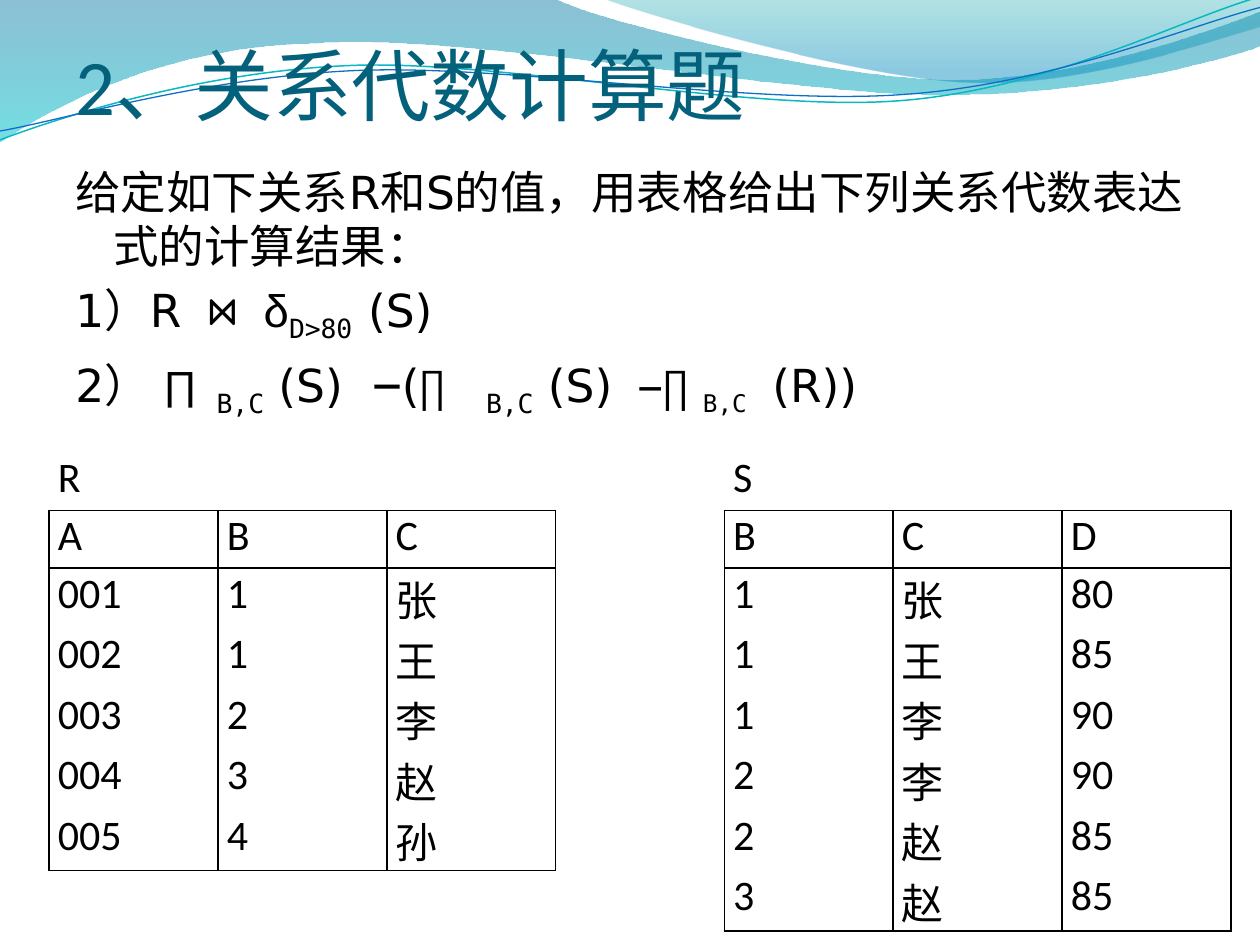
from math import cos, radians, sin

from lxml.etree import SubElement
from pptx import Presentation
from pptx.dml.color import RGBColor
from pptx.enum.text import MSO_ANCHOR, PP_ALIGN
from pptx.oxml.ns import qn
from pptx.util import Inches, Pt

COLORS = {
    "title": "04617B", "text": "000000",
    "deep": "0074A1", "aqua": "00C6CF", "teal": "00A1A9", "sky": "008BBF",
    "teal line": "0AB8BF", "blue line": "0F6FC6",
}
SANS, MONO = "DejaVu Sans", "DejaVu Sans Mono"
NO_STYLE = "{2D5ABB26-0587-4C30-8999-92F81FD0307C}"


def rgb(name):
    return RGBColor.from_string(COLORS[name])


def add_curve(shapes, start, segments, close):
    """Draw segments of three points (Bezier) or one point (straight), in inches."""
    builder = shapes.build_freeform(Inches(start[0]), Inches(start[1]))
    builder.add_line_segments(
        [(Inches(x), Inches(y)) for segment in segments for x, y in segment], close=close)
    curve = builder.convert_to_shape()
    curve.shadow.inherit = False
    lines = iter(curve._element.xpath(".//a:lnTo"))
    for segment in segments:
        first = next(lines)
        if len(segment) == 3:
            first.tag = qn("a:cubicBezTo")
            for _ in range(2):
                line = next(lines)
                first.append(line[0])
                line.getparent().remove(line)
    return curve


prs = Presentation()
prs.slide_width, prs.slide_height = Inches(10), Inches(7.5)
slide = prs.slides.add_slide(prs.slide_layouts[5])
shapes = slide.shapes

# Wave bands: start, segments, gradient stops (position, colour, opacity %)
bands = [
    ((0, 0), [[(4.4, -0.01)], [(4.76, 0.17), (6.64, 0.63), (7.58, 0.63)],
              [(8.53, 0.63), (9.58, 0.26), (10, 0.09)], [(10.01, 0.36)],
              [(9.83, 0.44), (8.7, 0.76), (7.46, 0.75)],
              [(6.22, 0.75), (3.82, 0.28), (2.57, 0.34)],
              [(1.29, 0.36), (0.46, 0.83), (-0.01, 1.13)]],
     [(0, "deep", 45), (1, "aqua", 55)]),
    ((4.79, -0.01), [[(5.09, 0.11), (6.82, 0.62), (7.69, 0.65)],
                     [(8.56, 0.69), (9.61, 0.32), (10, 0.21)], [(10, 0)]],
     [(0, "teal", 30), (0.8, "sky", 45)]),
]
for start, segments, stops in bands:
    band = add_curve(shapes, start, segments, True)
    band.line.fill.background()
    band.fill.gradient()
    band.fill.gradient_angle = 270
    for stop, (position, color, _) in zip(band.fill.gradient_stops, stops):
        stop.position = position
        stop.color.rgb = rgb(color)
    for color_node, (_, _, opacity) in zip(band._element.xpath(".//a:gs/a:srgbClr"), stops):
        SubElement(color_node, qn("a:alpha"), val=str(opacity * 1000))

# Thin wave lines, laid level around their centre and then tilted
TILT = 2.7
waves = [
    ((4.99, 0.58), [(0, 1.11), (0.48, 0.93), (1.58, 0.57), (2.77, 0.52),
                    (3.95, 0.47), (5.93, 0.89), (7.13, 0.8),
                    (8.33, 0.71), (9.38, 0.15), (9.98, -0.02)], "teal line", 0.85),
    ((5, 0.59), [(0, 1.04), (0.47, 0.96), (1.64, 0.61), (2.83, 0.56),
                 (4.03, 0.51), (5.97, 0.84), (7.17, 0.75),
                 (8.36, 0.67), (9.41, 0.21), (10, 0.06)], "blue line", 0.75),
]
cosine, sine = cos(radians(TILT)), sin(radians(TILT))
for (cx, cy), points, color, width in waves:
    level = [(cx + (x - cx) * cosine - (y - cy) * sine,
              cy + (x - cx) * sine + (y - cy) * cosine) for x, y in points]
    wave = add_curve(shapes, level[0], [level[i:i + 3] for i in (1, 4, 7)], False)
    wave.rotation = 360 - TILT
    wave.fill.background()
    wave.line.color.rgb = rgb(color)
    wave.line.width = Pt(width)

# Title, brought in front of the waves
title = shapes.title
shapes._spTree.append(title._element)
title.left, title.top, title.width, title.height = map(Inches, (0.5, 0.25, 9, 0.85))
title.text_frame.vertical_anchor = MSO_ANCHOR.BOTTOM
heading = title.text_frame.paragraphs[0]
heading.text = "2、关系代数计算题"
heading.alignment = PP_ALIGN.LEFT
heading.line_spacing = 0.9
heading.font.name, heading.font.size = "Calibri", Pt(45)
heading.font.color.rgb = rgb("title")

# Exercise text: runs are (text, font, size, subscript)
exercise = [
    [("给定如下关系R和S的值，用表格给出下列关系代数表达式的计算结果：", SANS, 26, False)],
    [("1）R", SANS, 26, False), (" ⋈ ", MONO, 26, False), ("δ", "Arial", 26, False),
     ("D>80 ", MONO, 26, True), ("(S)", SANS, 26, False)],
    [("2）", SANS, 26, False), (" ∏ ", MONO, 24, False), (" B,C", MONO, 26, True),
     (" (S)", SANS, 26, False), (" −", MONO, 28, False), ("(", SANS, 26, False),
     ("∏ ", MONO, 24, False), (" B,C", MONO, 26, True), (" (S)", SANS, 26, False),
     (" −∏", MONO, 24, False), (" B,C", MONO, 24, True), (" ", MONO, 24, False),
     ("(R))", SANS, 26, False)],
]
body = shapes.add_textbox(Inches(0.5), Inches(1.25), Inches(9), Inches(2.58)).text_frame
body.word_wrap = True
for index, parts in enumerate(exercise):
    paragraph = body.paragraphs[0] if index == 0 else body.add_paragraph()
    properties = paragraph._p.get_or_add_pPr()
    properties.set("marL", str(Inches(0.3)))
    properties.set("indent", str(-Inches(0.3)))
    if index:
        paragraph.space_before = Pt(5.2)
    paragraph.font.color.rgb = rgb("text")
    for text, font, size, subscript in parts:
        run = paragraph.add_run()
        run.text = text
        run.font.name, run.font.size = font, Pt(size)
        if subscript:
            run._r.get_or_add_rPr().set("baseline", "-25000")

# Relations R and S share one table, with an empty column between them
relations = [
    (0, ["R", "A B C", "001 1 张", "002 1 王", "003 2 李", "004 3 赵", "005 4 孙"]),
    (4, ["S", "B C D", "1 张 80", "1 王 85", "1 李 90", "2 李 90", "2 赵 85", "3 赵 85"]),
]
table_frame = shapes.add_table(8, 7, Inches(0.39), Inches(3.59), Inches(9.38), Inches(3.8))
table = table_frame.table
table.first_row = table.horz_banding = False
table._tbl.tblPr.find(qn("a:tableStyleId")).text = NO_STYLE
for column in table.columns:
    column.width = Inches(1.34)
for index, row in enumerate(table.rows):
    row.height = Inches(0.46 if index < 2 else 0.48)

for first_column, lines in relations:
    for row, line in enumerate(lines):
        values = line.split()
        visible = {
            "lnL": row > 0, "lnR": row > 0, "lnT": row in (1, 2),
            "lnB": row in (0, 1, len(lines) - 1),
        }
        for offset in range(3):
            cell = table.cell(row, first_column + offset)
            for edge, shown in visible.items():
                border = SubElement(cell._tc.get_or_add_tcPr(), qn(f"a:{edge}"), w=str(Pt(1)))
                if shown:
                    fill = SubElement(border, qn("a:solidFill"))
                    SubElement(fill, qn("a:srgbClr"), val=COLORS["text"])
                else:
                    SubElement(border, qn("a:noFill"))
            if offset < len(values):
                paragraph = cell.text_frame.paragraphs[0]
                paragraph.text = values[offset]
                paragraph.alignment = PP_ALIGN.JUSTIFY
                paragraph.font.name, paragraph.font.size = "Calibri", Pt(24)
                paragraph.font.color.rgb = rgb("text")

for cell in table.iter_cells():
    cell.margin_left = cell.margin_right = Inches(0.07)
    cell.margin_top = cell.margin_bottom = 0
    cell.fill.background()

prs.save("out.pptx")
